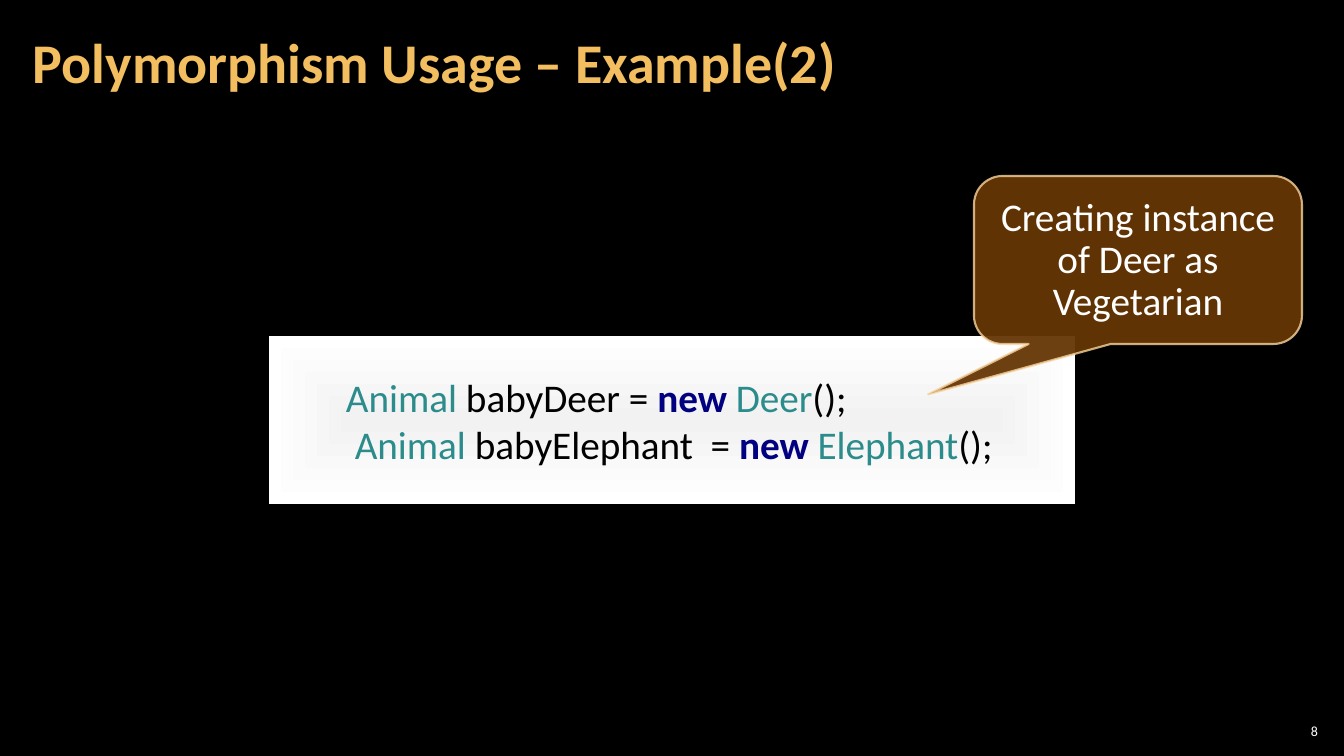
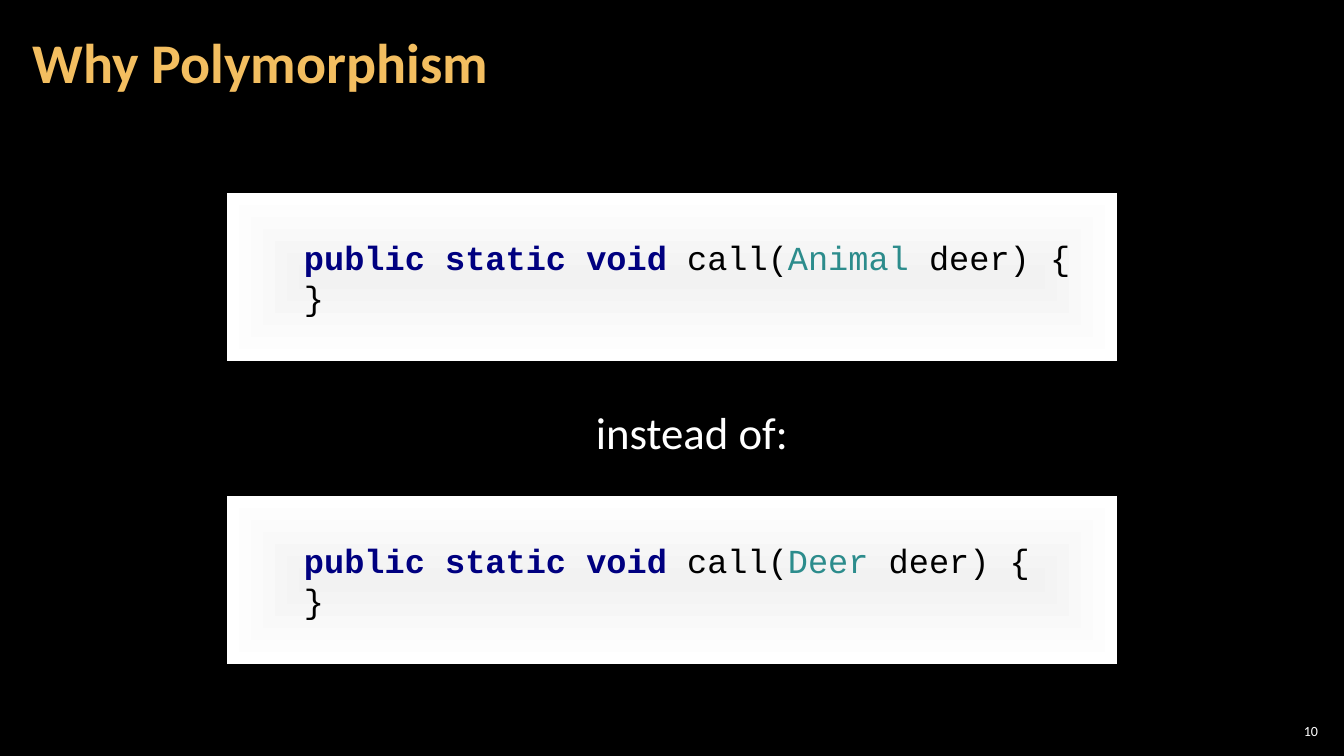
from lxml import etree
from pptx import Presentation
from pptx.dml.color import RGBColor
from pptx.enum.shapes import MSO_SHAPE as Shape
from pptx.enum.text import MSO_ANCHOR as Anchor, PP_ALIGN as Align
from pptx.oxml import parse_xml
from pptx.oxml.ns import nsdecls, qn
from pptx.util import Pt

BLACK = RGBColor(0x00, 0x00, 0x00)
WHITE = RGBColor(0xFF, 0xFF, 0xFF)
GOLD = RGBColor(0xF3, 0xBE, 0x60)
TEAL = RGBColor(0x2C, 0x8C, 0x8C)
NAVY = RGBColor(0x00, 0x00, 0x80)
BROWN = RGBColor(0x66, 0x36, 0x06)
SAND = RGBColor(0xF8, 0xD4, 0x9E)
PANEL_CENTRE = RGBColor(0xF2, 0xF2, 0xF2)

SANS, MONO = "Calibri", "Courier New"
SLIDE_W, SLIDE_H = 1344, 756
SCALE = 12192000 / SLIDE_W  # EMU in one px

TITLE_BOX = (21, 4, 1055, 122)
NUMBER_BOX = (1275, 720, 47, 21)
PANEL_H = 168
CODE_INDENT = 77

# Code is a list of lines; a line is a list of (text, style) spans.
STYLES = {
    "type": {"color": TEAL},
    "keyword": {"color": NAVY, "bold": True},
    "plain": {"color": BLACK},
}


def method_code(parameter_type):
    return [
        [("public static void ", "keyword"), ("call(", "plain"),
         (parameter_type + " ", "type"), ("deer) {", "plain")],
        [("}", "plain")],
    ]


SLIDES = [
    {
        "title": "Polymorphism Usage – Example(2)",
        "number": "8",
        "code_font": (SANS, 28),
        "panel_width": 806,
        "panels": [
            (336, [
                [("Animal ", "type"), ("babyDeer = ", "plain"), ("new ", "keyword"),
                 ("Deer", "type"), ("();", "plain")],
                [(" Animal ", "type"), ("babyElephant  = ", "plain"), ("new ", "keyword"),
                 ("Elephant", "type"), ("();", "plain")],
            ]),
        ],
        "callout": ((974, 176, 328, 168), "Creating instance of Deer as Vegetarian"),
    },
    {
        "title": "Why Polymorphism",
        "number": "10",
        "code_font": (MONO, 24),
        "panel_width": 890,
        "panels": [(193, method_code("Animal")), (496, method_code("Deer"))],
        "label": ((542, 402, 300, 60), "instead of:"),
    },
]


def px(length):
    return round(length * SCALE)


def write(shape, lines, font=SANS, size=28, color=WHITE, bold=False, align=Align.LEFT,
          anchor=Anchor.MIDDLE, spacing=None, margins=(10, 5, 10, 5)):
    """Fill a shape with text: one string, or lines of (text, style) spans."""
    if isinstance(lines, str):
        lines = [[(lines, None)]]
    frame = shape.text_frame
    frame.word_wrap = True
    frame.vertical_anchor = anchor
    (frame.margin_left, frame.margin_top,
     frame.margin_right, frame.margin_bottom) = map(px, margins)
    for index, line in enumerate(lines):
        para = frame.add_paragraph() if index else frame.paragraphs[0]
        para.alignment = align
        para.line_spacing = spacing
        for text, style in line:
            look = {"color": color, "bold": bold, **STYLES.get(style, {})}
            span = para.add_run()
            span.text = text
            span.font.name = font
            span.font.size = Pt(size)
            span.font.bold = look["bold"]
            span.font.color.rgb = look["color"]


def add_text(page, box, text, **text_format):
    write(page.shapes.add_textbox(*map(px, box)), text, **text_format)


def add_block(page, kind, box):
    block = page.shapes.add_shape(kind, *map(px, box))
    block.shadow.inherit = False
    return block


def set_opacity(color_holder, percent):
    color = next(color_holder.iter(qn("a:srgbClr")))
    etree.SubElement(color, qn("a:alpha")).set("val", str(percent * 1000))


def add_code_panel(page, box, lines, font, size):
    panel = add_block(page, Shape.RECTANGLE, box)
    panel.line.fill.background()
    gradient = parse_xml(
        f'<a:gradFill {nsdecls("a")} rotWithShape="1"><a:gsLst>'
        f'<a:gs pos="0"><a:srgbClr val="{PANEL_CENTRE}"/></a:gs>'
        f'<a:gs pos="100000"><a:srgbClr val="{WHITE}"/></a:gs></a:gsLst>'
        '<a:path path="shape"><a:fillToRect l="50000" t="50000" r="50000" b="50000"/>'
        '</a:path></a:gradFill>')
    panel.element.spPr.find(qn("a:prstGeom")).addnext(gradient)
    write(panel, lines, font=font, size=size, margins=(CODE_INDENT, 5, 10, 5))


def add_callout(page, box, text):
    callout = add_block(page, Shape.ROUNDED_RECTANGULAR_CALLOUT, box)
    for index, value in enumerate((-0.64, 0.8, 0.17)):
        callout.adjustments[index] = value
    callout.fill.solid()
    callout.fill.fore_color.rgb = BROWN
    set_opacity(callout.element.spPr.find(qn("a:solidFill")), 95)
    callout.line.color.rgb = SAND
    callout.line.width = Pt(1.5)
    set_opacity(callout.element.spPr.find(qn("a:ln")), 80)
    write(callout, text, align=Align.CENTER, spacing=Pt(30))


def build_slide(deck, content):
    page = deck.slides.add_slide(deck.slide_layouts[6])
    add_text(page, NUMBER_BOX, content["number"], size=10, align=Align.RIGHT,
             margins=(4, 4, 4, 4))
    add_text(page, TITLE_BOX, content["title"], size=40, color=GOLD, bold=True,
             spacing=0.9, margins=(12, 4, 12, 4))
    width = content["panel_width"]
    for top, lines in content["panels"]:
        box = ((SLIDE_W - width) // 2, top, width, PANEL_H)
        add_code_panel(page, box, lines, *content["code_font"])
    if "callout" in content:
        add_callout(page, *content["callout"])
    if "label" in content:
        add_text(page, *content["label"], size=32, align=Align.CENTER)


def main():
    deck = Presentation()
    deck.slide_width, deck.slide_height = px(SLIDE_W), px(SLIDE_H)
    backdrop = deck.slide_master.background.fill
    backdrop.solid()
    backdrop.fore_color.rgb = BLACK
    for content in SLIDES:
        build_slide(deck, content)
    deck.save("out.pptx")


if __name__ == "__main__":
    main()
